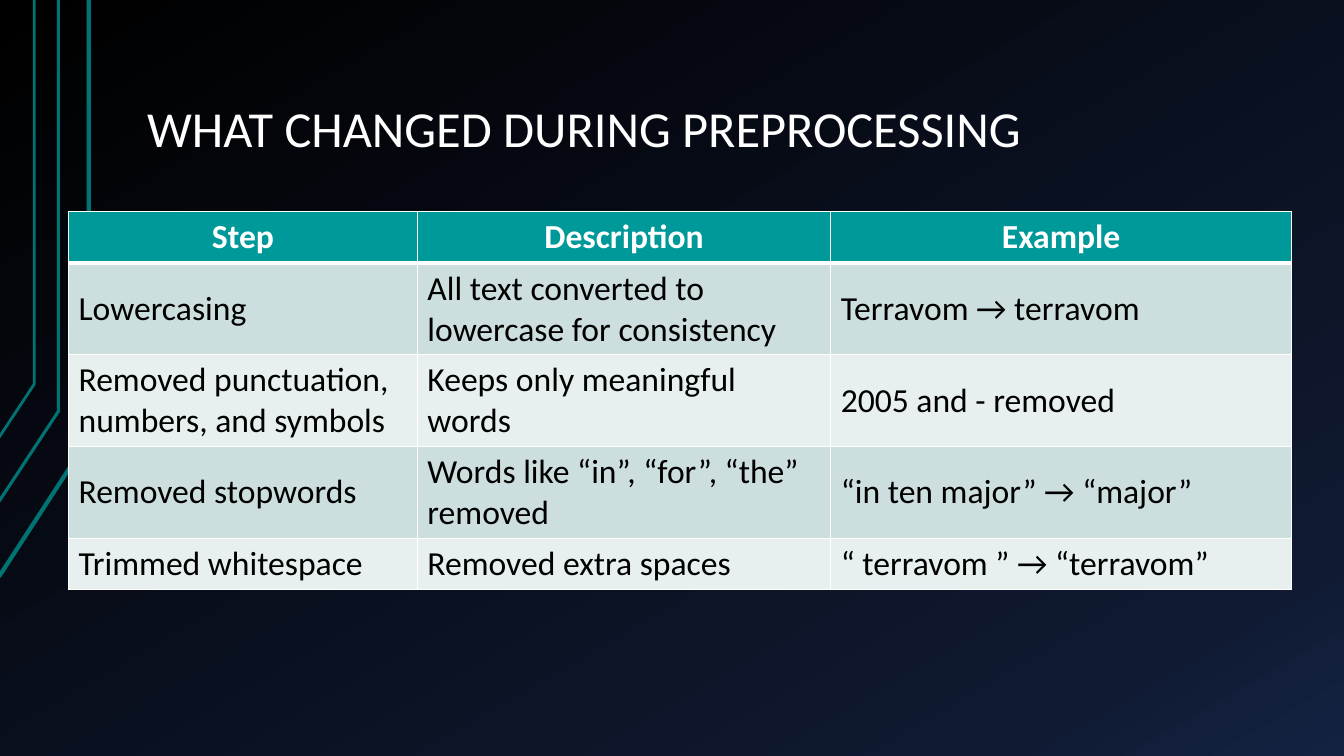
from copy import deepcopy

from lxml.etree import SubElement
from pptx import Presentation
from pptx.dml.color import RGBColor
from pptx.enum.text import MSO_ANCHOR as Anchor, PP_ALIGN as Align
from pptx.oxml.ns import qn
from pptx.util import Inches, Pt

COLORS = {
    "white": "FFFFFF",
    "text": "000000",
    "header": "009999",
    "odd_row": "CCDEDE",
    "even_row": "E7EFEF",
    "trace": "007373",
}
FONT = "Calibri"
BACKGROUND_STOPS = [(0, "000000"), (0.85, "0F1931"), (1, "142242")]
# Points from bottom left to top, then line width
TRACES = [
    ([(-0.01, 5.72), (0.88, 4.35), (0.88, 0)], 3),
    ([(-0.02, 4.99), (0.58, 4.08), (0.58, 0)], 2.25),
    ([(-0.01, 4.34), (0.34, 3.81), (0.34, 0)], 2),
]
COLUMN_WIDTHS = [3.46, 4.1, 4.57]
ROW_HEIGHTS = [0.51, 0.91, 0.91, 0.91, 0.51]
STEPS = [
    ("Step", "Description", "Example"),
    ("Lowercasing", "All text converted to lowercase for consistency",
     "Terravom → terravom"),
    ("Removed punctuation, numbers, and symbols",
     "Keeps only meaningful words", "2005 and - removed"),
    ("Removed stopwords", "Words like “in”, “for”, “the” removed",
     "“in ten major” → “major”"),
    ("Trimmed whitespace", "Removed extra spaces",
     "“ terravom ” → “terravom”"),
]


def rgb(name):
    return RGBColor.from_string(COLORS[name])


def style_font(para, size, color, bold=False):
    para.font.name = FONT
    para.font.size = Pt(size)
    para.font.bold = bold
    para.font.color.rgb = rgb(color)


def fill_background(page):
    fill = page.background.fill
    fill.gradient()
    fill.gradient_angle = 300
    stop_list = page.element.find(".//" + qn("a:gsLst"))
    stop_list.append(deepcopy(stop_list[-1]))
    for stop, (position, color) in zip(fill.gradient_stops, BACKGROUND_STOPS):
        stop.position = position
        stop.color.rgb = RGBColor.from_string(color)


def add_traces(page, left, top):
    for points, width in TRACES:
        start, *rest = [(Inches(left + x), Inches(top + y)) for x, y in points]
        builder = page.shapes.build_freeform(*start)
        builder.add_line_segments(rest, close=False)
        trace = builder.convert_to_shape()
        trace.shadow.inherit = False
        trace.fill.background()
        trace.line.color.rgb = rgb("trace")
        trace.line.width = Pt(width)


def add_title(page, left, top, width, height):
    box = page.shapes.add_textbox(*map(Inches, (left, top, width, height)))
    frame = box.text_frame
    frame.word_wrap = True
    frame.vertical_anchor = Anchor.BOTTOM
    frame.margin_left = frame.margin_right = Inches(0.13)
    frame.margin_top = frame.margin_bottom = Inches(0.07)
    para = frame.paragraphs[0]
    para.text = "WHAT CHANGED DURING PREPROCESSING"
    para.line_spacing = 0.9
    style_font(para, 36, "white")


def set_borders(cell, bottom_width):
    """Draw white cell borders; they must precede the fill in the XML."""
    properties = cell._tc.get_or_add_tcPr()
    for side, width in (("L", 1), ("R", 1), ("T", 1), ("B", bottom_width)):
        line = SubElement(properties, qn(f"a:ln{side}"), w=str(Pt(width)))
        solid = SubElement(line, qn("a:solidFill"))
        SubElement(solid, qn("a:srgbClr"), val=COLORS["white"])


def add_steps_table(page, left, top):
    width, height = sum(COLUMN_WIDTHS), sum(ROW_HEIGHTS)
    table = page.shapes.add_table(
        len(STEPS), len(COLUMN_WIDTHS),
        *map(Inches, (left, top, width, height))).table
    for column, column_width in zip(table.columns, COLUMN_WIDTHS):
        column.width = Inches(column_width)
    for index, (row, texts) in enumerate(zip(table.rows, STEPS)):
        row.height = Inches(ROW_HEIGHTS[index])
        is_header = index == 0
        band = "odd_row" if index % 2 else "even_row"
        for cell, text in zip(row.cells, texts):
            set_borders(cell, 3 if is_header else 1)
            cell.fill.solid()
            cell.fill.fore_color.rgb = rgb("header" if is_header else band)
            cell.vertical_anchor = Anchor.MIDDLE
            para = cell.text_frame.paragraphs[0]
            para.text = text
            para.alignment = Align.CENTER if is_header else Align.LEFT
            style_font(para, 24, "white" if is_header else "text", is_header)


def main():
    deck = Presentation()
    deck.slide_width, deck.slide_height = Inches(13.33), Inches(7.5)
    page = deck.slides.add_slide(deck.slide_layouts[6])
    fill_background(page)
    add_traces(page, 0, 0)
    add_title(page, 1.33, 0.3, 11.33, 1.34)
    add_steps_table(page, 0.68, 2.1)
    deck.save("out.pptx")


if __name__ == "__main__":
    main()
